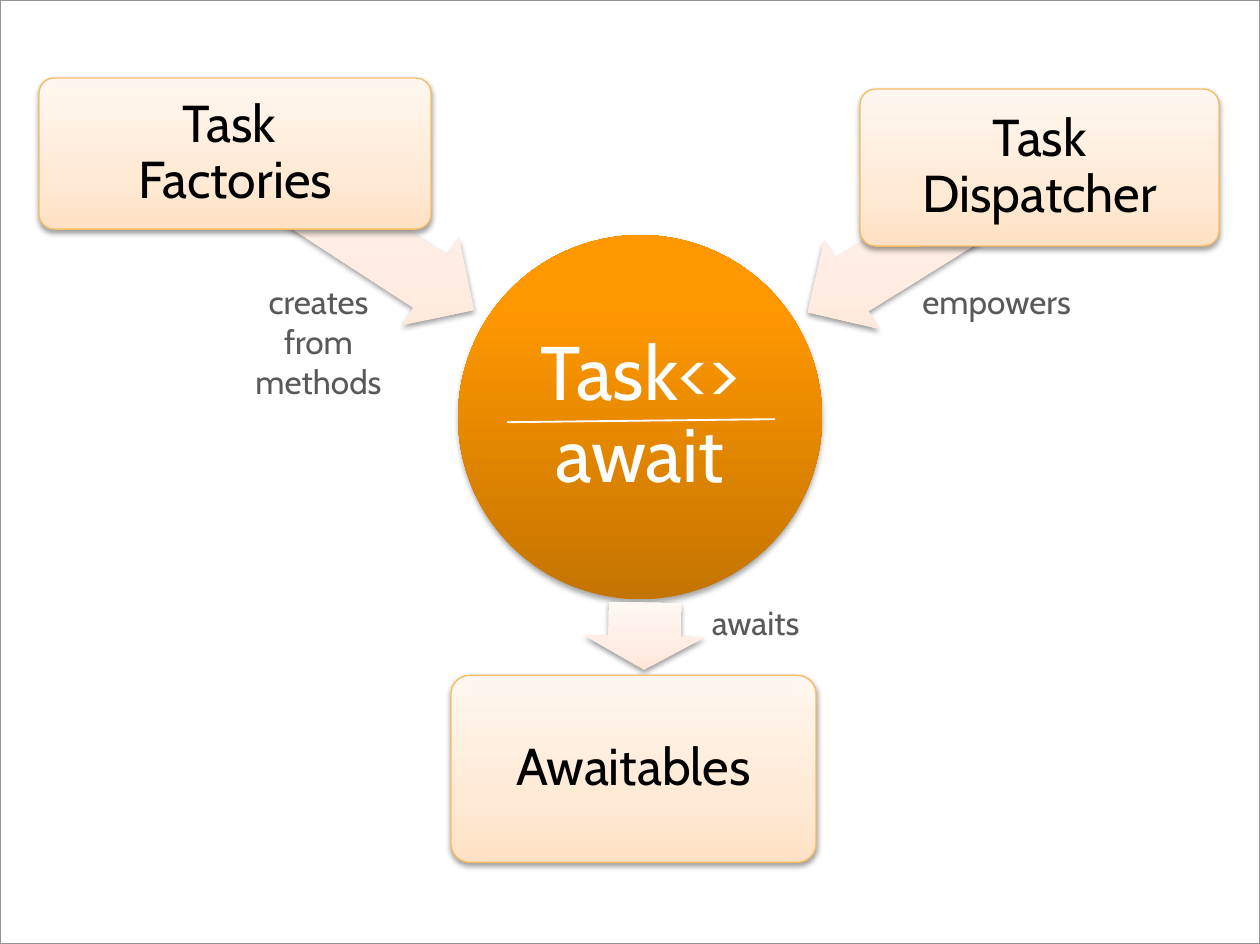
from pptx import Presentation
from pptx.dml.color import RGBColor
from pptx.enum.shapes import MSO_CONNECTOR, MSO_SHAPE
from pptx.enum.text import MSO_ANCHOR, PP_ALIGN
from pptx.oxml import parse_xml
from pptx.oxml.ns import nsdecls, qn
from pptx.util import Pt

PX = 914400 / 133.2
SLIDE_WIDTH, SLIDE_HEIGHT = Pt(681), Pt(510)
FONT = "Cabin"
RECTANGLE, ROUNDED, OVAL = MSO_SHAPE.RECTANGLE, MSO_SHAPE.ROUNDED_RECTANGLE, MSO_SHAPE.OVAL
LEFT_ARROW, RIGHT_ARROW = MSO_SHAPE.LEFT_ARROW, MSO_SHAPE.RIGHT_ARROW
STRAIGHT = MSO_CONNECTOR.STRAIGHT
CENTER, MIDDLE, TOP = PP_ALIGN.CENTER, MSO_ANCHOR.MIDDLE, MSO_ANCHOR.TOP

# Gradient stops from bottom to top: percent, colour
CIRCLE_STOPS = [(0, "C47400"), (80, "FF9700"), (100, "FF9801")]
BOX_STOPS = [(0, "FFE2C5"), (35, "FFEAD6"), (100, "FFF7EF")]
ARROW_STOPS = [(0, "FFE6D8"), (35, "FFEDE3"), (100, "FFF8F4")]


def px(*lengths):
    return [round(length * PX) for length in lengths]


def color(value):
    return RGBColor.from_string(value)


def write(shape, text, size, ink, inset=None, spacing=None, anchor=MIDDLE):
    frame = shape.text_frame
    frame.word_wrap = True
    frame.vertical_anchor = anchor
    if inset is not None:
        margin = px(inset)[0]
        frame.margin_left = frame.margin_right = margin
        frame.margin_top = frame.margin_bottom = margin
    paragraph = frame.paragraphs[0]
    paragraph.text = text
    paragraph.alignment = CENTER
    paragraph.line_spacing = spacing
    for run in paragraph.runs:
        run.font.name = FONT
        run.font.size = Pt(size)
        run.font.color.rgb = color(ink)


def add_raised(kind, bounds, stops, line=None, adjustments=(), rotation=0, opacity=38, distance=1.6):
    """Add a shape with an upward gradient and a soft shadow below it."""
    shape = slide.shapes.add_shape(kind, *px(*bounds))
    shape.rotation = rotation
    for index, value in enumerate(adjustments):
        shape.adjustments[index] = value
    if line:
        shape.line.color.rgb = color(line)
        shape.line.width = Pt(0.75)
    else:
        shape.line.fill.background()

    shape.fill.gradient()
    properties = shape._element.spPr
    gradient = properties.find(qn("a:gradFill"))
    gradient.set("rotWithShape", "0")
    stop_list = gradient.find(qn("a:gsLst"))
    for stop in list(stop_list):
        stop_list.remove(stop)
    for percent, value in stops:
        stop_list.append(parse_xml(
            f'<a:gs {nsdecls("a")} pos="{percent * 1000}"><a:srgbClr val="{value}"/></a:gs>'))
    gradient.find(qn("a:lin")).set("ang", "16200000")

    shape.shadow.inherit = False
    properties.find(qn("a:effectLst")).append(parse_xml(
        f'<a:outerShdw {nsdecls("a")} blurRad="{Pt(3.1)}" dist="{Pt(distance)}" dir="5400000" '
        f'rotWithShape="0"><a:srgbClr val="000000"><a:alpha val="{opacity * 1000}"/>'
        '</a:srgbClr></a:outerShdw>'))
    return shape


presentation = Presentation()
presentation.slide_width, presentation.slide_height = SLIDE_WIDTH, SLIDE_HEIGHT
slide = presentation.slides.add_slide(presentation.slide_layouts[6])

# Framed white page
page = slide.shapes.add_shape(RECTANGLE, 0, 0, SLIDE_WIDTH, SLIDE_HEIGHT)
page.shadow.inherit = False
page.fill.solid()
page.fill.fore_color.rgb = color("FFFFFF")
page.line.color.rgb = color("969696")
page.line.width = Pt(0.75)

# Central circle
circle = add_raised(OVAL, (458, 235, 364, 364), CIRCLE_STOPS, opacity=35, distance=1.8)
write(circle, "Task<>\nawait", 41, "FFFFFF", inset=4, spacing=0.9)

# Each arrow lies behind its box
parts = [
    (LEFT_ARROW, (212, 180, 285, 104), 213.1, "Task \nFactories", (39, 78, 392, 151)),
    (RIGHT_ARROW, (611, 576, 67, 120), 90.9, "Awaitables", (451, 675, 365, 187)),
    (LEFT_ARROW, (787, 188, 273, 104), 328.1, "Task\nDispatcher", (860, 89, 359, 157)),
]
for kind, arrow_bounds, rotation, title, box_bounds in parts:
    add_raised(kind, arrow_bounds, ARROW_STOPS, adjustments=(0.6, 0.5), rotation=rotation)
    box = add_raised(ROUNDED, box_bounds, BOX_STOPS, line="F8BC64", adjustments=(0.1,))
    write(box, title, 28, "000000", inset=8, spacing=0.9)

# Arrow labels
labels = [
    ("creates from methods", 228, 275, 135),
    ("awaits", 665, 595, 53),
    ("empowers", 906, 275, 53),
]
for text, left, top, height in labels:
    label = slide.shapes.add_textbox(*px(left, top, 181, height))
    write(label, text, 18, "595959", anchor=TOP)

# Divider in the circle
divider = slide.shapes.add_connector(STRAIGHT, *px(507, 422, 775, 419))
divider.line.color.rgb = color("FFFFFF")
divider.line.width = Pt(1)
divider._element.spPr.append(parse_xml(f'<a:effectLst {nsdecls("a")}/>'))

presentation.save("out.pptx")
